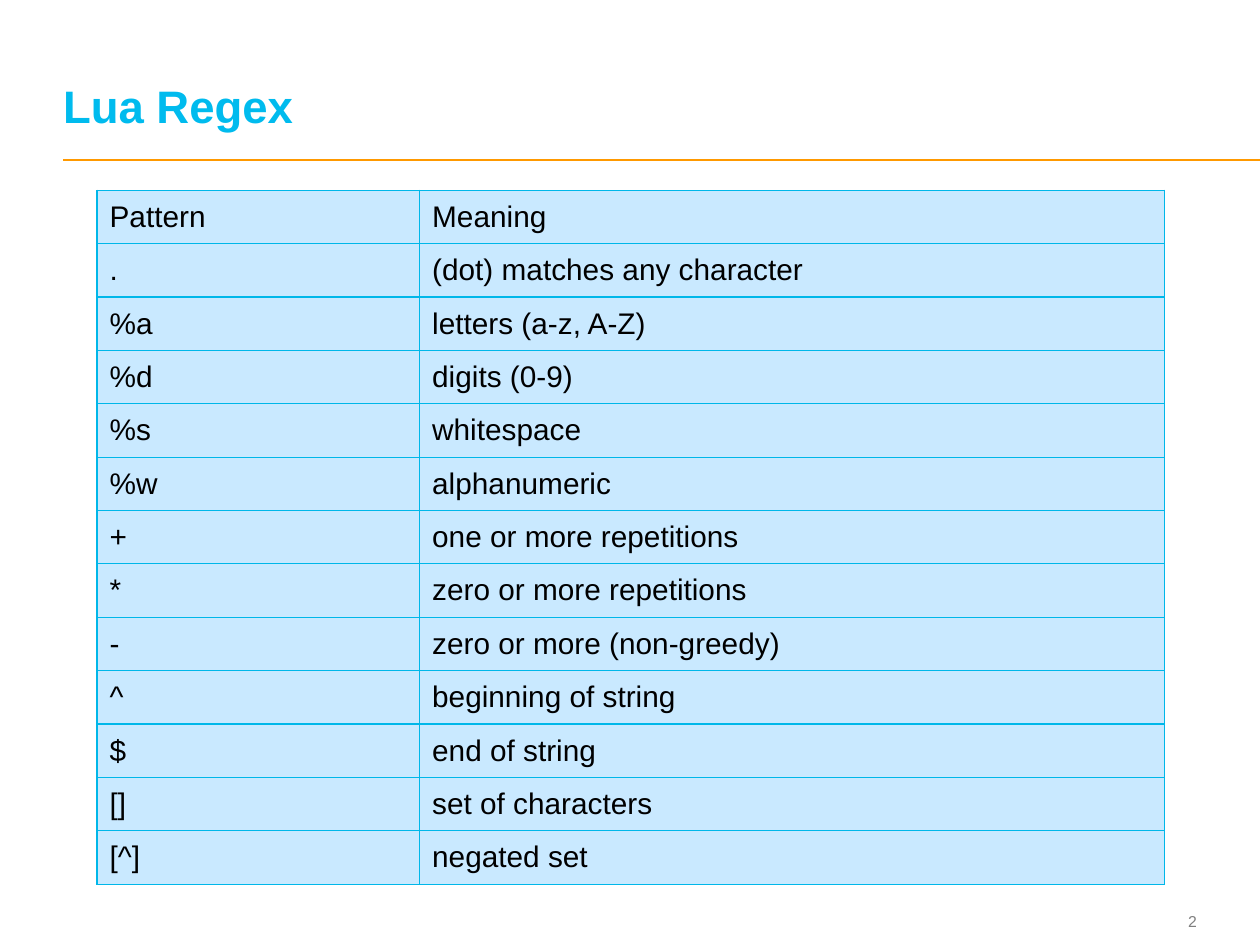
"""Build a slide with a reference table of Lua patterns."""
from lxml.etree import SubElement
from pptx import Presentation
from pptx.dml.color import RGBColor
from pptx.enum.shapes import MSO_CONNECTOR
from pptx.enum.text import MSO_ANCHOR, MSO_AUTO_SIZE, PP_ALIGN
from pptx.oxml.ns import qn
from pptx.util import Inches, Pt

WIDTH, HEIGHT = Inches(10), Inches(7.5)
COLUMN, ROW = WIDTH / 100, HEIGHT / 75
FONT = "Arial"
COLORS = {
    "title": "00BBEE",
    "rule": "FF9900",
    "border": "00B7E9",
    "cell": "C9E9FF",
    "text": "000000",
    "number": "7F7F7F",
}
PATTERNS = [
    ("Pattern", "Meaning"),
    (".", "(dot) matches any character"),
    ("%a", "letters (a-z, A-Z)"),
    ("%d", "digits (0-9)"),
    ("%s", "whitespace"),
    ("%w", "alphanumeric"),
    ("+", "one or more repetitions"),
    ("*", "zero or more repetitions"),
    ("-", "zero or more (non-greedy)"),
    ("^", "beginning of string"),
    ("$", "end of string"),
    ("[]", "set of characters"),
    ("[^]", "negated set"),
]


def grid(left, top, width, height):
    """Turn grid columns and rows into slide lengths."""
    return (round(left * COLUMN), round(top * ROW),
            round(width * COLUMN), round(height * ROW))


def color(name):
    """Return the named colour."""
    return RGBColor.from_string(COLORS[name])


def style_paragraph(paragraph, size, color_name, bold=False):
    """Set the font of a whole paragraph."""
    font = paragraph.font
    font.name, font.size, font.bold = FONT, Pt(size), bold
    font.color.rgb = color(color_name)


def fill_frame(frame, text, anchor):
    """Put text in a frame without margins and return its paragraph."""
    frame.text = text
    frame.word_wrap = True
    frame.auto_size = MSO_AUTO_SIZE.NONE
    frame.vertical_anchor = anchor
    frame.margin_left = frame.margin_right = 0
    frame.margin_top = frame.margin_bottom = 0
    return frame.paragraphs[0]


def set_title(page, text, place):
    """Place and format the title placeholder."""
    title = page.shapes.title
    title.left, title.top, title.width, title.height = place
    paragraph = fill_frame(title.text_frame, text, MSO_ANCHOR.BOTTOM)
    paragraph.alignment = PP_ALIGN.LEFT
    paragraph.line_spacing = Pt(26)
    style_paragraph(paragraph, 26, "title", bold=True)


def add_rule(page, left, top, width):
    """Draw a horizontal rule."""
    x, y, length, _ = grid(left, top, width, 0)
    rule = page.shapes.add_connector(MSO_CONNECTOR.STRAIGHT, x, y, x + length, y)
    rule.line.color.rgb = color("rule")
    rule.line.width = Pt(1)
    SubElement(rule._element.spPr, qn("a:effectLst"))


def add_page_number(page, text, place):
    """Add the page number at the right edge of its box."""
    box = page.shapes.add_textbox(*place)
    paragraph = fill_frame(box.text_frame, text, MSO_ANCHOR.MIDDLE)
    paragraph.alignment = PP_ALIGN.RIGHT
    style_paragraph(paragraph, 9, "number")


def add_borders(cell):
    """Draw all four borders of a cell."""
    properties = cell._tc.get_or_add_tcPr()
    for position, side in enumerate(("lnL", "lnR", "lnT", "lnB")):
        line = SubElement(properties, qn(f"a:{side}"), w=str(Pt(0.75)))
        fill = SubElement(line, qn("a:solidFill"))
        SubElement(fill, qn("a:srgbClr"), val=COLORS["border"])
        properties.insert(position, line)


def add_table(page, rows, column_widths, place):
    """Add a plain bordered table with equal row heights."""
    table = page.shapes.add_table(len(rows), len(column_widths), *place).table
    table.first_row = table.horz_banding = False
    for column, width in zip(table.columns, column_widths):
        column.width = round(width * COLUMN)
    for row, texts in zip(table.rows, rows):
        for cell, text in zip(row.cells, texts):
            cell.text = text
            cell.vertical_anchor = MSO_ANCHOR.MIDDLE
            cell.fill.solid()
            cell.fill.fore_color.rgb = color("cell")
            add_borders(cell)
            style_paragraph(cell.text_frame.paragraphs[0], 17, "text")


def main():
    """Build and save the deck."""
    deck = Presentation()
    deck.slide_width, deck.slide_height = WIDTH, HEIGHT
    page = deck.slides.add_slide(deck.slide_layouts[5])
    add_rule(page, 5, 12.7, 95)
    add_page_number(page, "2", grid(89.1, 71.8, 5.9, 2.7))
    set_title(page, "Lua Regex", grid(5, 1.9, 89.7, 8.6))
    add_table(page, PATTERNS, (25.6, 59.1), grid(7.7, 15.1, 84.7, 55.1))
    deck.save("out.pptx")


if __name__ == "__main__":
    main()
